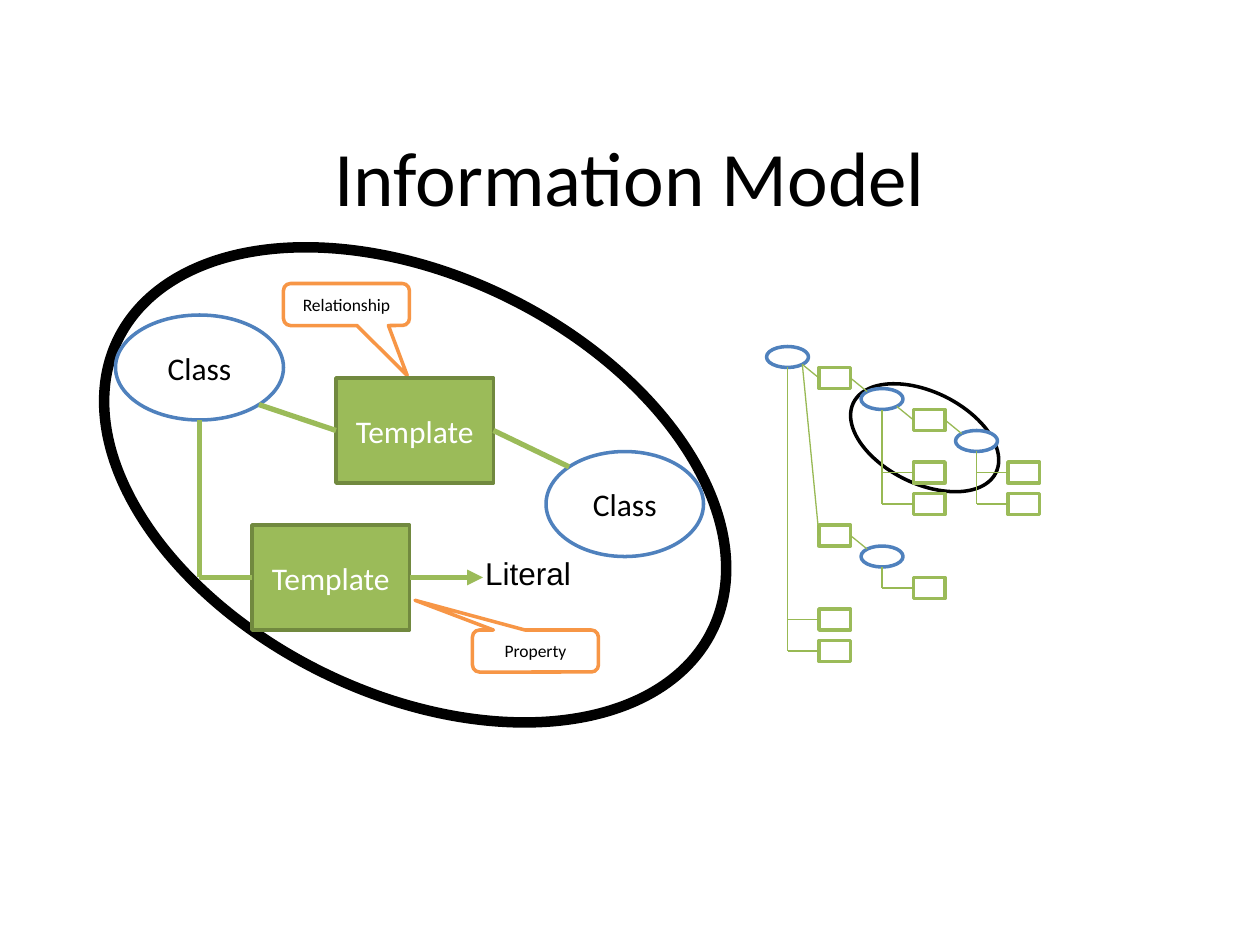
from math import sqrt

from lxml import etree
from pptx import Presentation
from pptx import util as u
from pptx.dml.color import RGBColor
from pptx.enum import shapes, text
from pptx.oxml.ns import qn

BLACK = RGBColor(0x00, 0x00, 0x00)
WHITE = RGBColor(0xFF, 0xFF, 0xFF)
BLUE = RGBColor(0x4F, 0x81, 0xBD)
GREEN = RGBColor(0x9B, 0xBB, 0x59)
DARK_GREEN = RGBColor(0x71, 0x89, 0x3F)
LINK_GREEN = RGBColor(0x98, 0xB9, 0x54)
ORANGE = RGBColor(0xF7, 0x96, 0x46)

KINDS = shapes.MSO_SHAPE
GRID = u.Cm(2.54) / 12  # the diagrams sit on a grid of twelve steps to 2.54 cm
TOP, LEFT, RIGHT = 0, 1, 3


def write(frame, words, size, color, font="Calibri", align=text.PP_ALIGN.CENTER):
    frame.word_wrap = True
    paragraph = frame.paragraphs[0]
    paragraph.alignment = align
    run = paragraph.add_run()
    run.text = words
    for name, value in {"name": font, "size": u.Pt(size)}.items():
        setattr(run.font, name, value)
    run.font.color.rgb = color


def add_label(slide, box, words, size, anchor, **style):
    label = slide.shapes.add_textbox(*map(u.Cm, box))
    label.text_frame.vertical_anchor = anchor
    write(label.text_frame, words, size, BLACK, **style)


def add_outlined(slide, kind, box, fill, line, width=2):
    shape = slide.shapes.add_shape(kind, *box)
    shape.shadow.inherit = False
    shape.fill.solid()
    shape.fill.fore_color.rgb = fill
    shape.line.color.rgb = line
    shape.line.width = u.Pt(width)
    return shape


def add_focus(slide, box, width):
    """Tilted ellipse that marks the enlarged part of the tree."""
    focus = add_outlined(slide, KINDS.OVAL, map(u.Cm, box), WHITE, BLACK, width)
    focus.rotation = 26.1


def add_node(slide, kind, steps, fill, line, words=None, size=18, color=BLACK):
    """Shape placed in grid steps: left, top, width, height."""
    node = add_outlined(slide, kind, [round(step * GRID) for step in steps], fill, line)
    if words:
        node.text_frame.vertical_anchor = text.MSO_ANCHOR.MIDDLE
        write(node.text_frame, words, size, color)
    return node


def add_callout(slide, steps, words, tip):
    callout = add_node(slide, KINDS.ROUNDED_RECTANGULAR_CALLOUT, steps,
                       WHITE, ORANGE, words, size=10)
    callout.adjustments[0], callout.adjustments[1] = tip


def diagonal(oval, side):
    """Point on an ellipse at 45 degrees: side 1 is lower right, -1 upper left."""
    return (round(oval.left + oval.width / 2 * (1 + side / sqrt(2))),
            round(oval.top + oval.height / 2 * (1 + side / sqrt(2))))


def side_middle(box, site):
    x = box.left + (box.width if site == RIGHT else 0)
    return x, box.top + box.height // 2


def add_link(slide, start, end, color, width, begin_box=None, end_box=None):
    link = slide.shapes.add_connector(shapes.MSO_CONNECTOR.STRAIGHT, *start, *end)
    if begin_box:
        link.begin_connect(begin_box, RIGHT)
    if end_box:
        link.end_connect(end_box, LEFT)
    link.line.color.rgb = color
    link.line.width = u.Pt(width)
    etree.SubElement(link._element.spPr, qn("a:effectLst"))
    return link


def link_to_template(slide, oval, template, **style):
    add_link(slide, diagonal(oval, 1), side_middle(template, LEFT),
             end_box=template, **style)


def link_to_class(slide, template, oval, **style):
    add_link(slide, side_middle(template, RIGHT), diagonal(oval, -1),
             begin_box=template, **style)


def hang_templates(slide, oval, templates, **style):
    """Vertical trunk below a class with a branch to each template."""
    trunk_x = oval.left + oval.width // 2
    for template in templates:
        middle = side_middle(template, LEFT)
        add_link(slide, (trunk_x, middle[1]), middle, end_box=template, **style)
    add_link(slide, (trunk_x, oval.top + oval.height), (trunk_x, middle[1]), **style)


def add_tree(slide):
    def tree_class(left, top):
        return add_node(slide, KINDS.OVAL, (left, top, 4, 2), WHITE, BLUE)

    def tree_template(left, top):
        return add_node(slide, KINDS.RECTANGLE, (left, top, 3, 2), WHITE, GREEN)

    style = {"color": LINK_GREEN, "width": 0.75}
    root, child, grandchild, second = [
        tree_class(*place) for place in ((73, 33), (82, 37), (91, 41), (82, 52))]
    relations = ((root, (78, 35), child), (root, (78, 50), second),
                 (child, (87, 39), grandchild))
    for parent, place, target in relations:
        template = tree_template(*place)
        link_to_template(slide, parent, template, **style)
        link_to_class(slide, template, target, **style)
    properties = ((root, 78, (58, 61)), (second, 87, (55,)),
                  (child, 87, (44, 47)), (grandchild, 96, (44, 47)))
    for owner, left, tops in properties:
        hang_templates(slide, owner, [tree_template(left, top) for top in tops], **style)


def add_detail(slide):
    style = {"color": GREEN, "width": 3}
    source, target = [
        add_node(slide, KINDS.OVAL, steps, WHITE, BLUE, "Class")
        for steps in ((11, 30, 16, 10), (52, 43, 15, 10))]
    add_callout(slide, (45, 60, 12, 4), "Property", (-0.956, -1.208))
    add_callout(slide, (27, 27, 12, 4), "Relationship", (0.483, 1.693))
    relation, prop = [
        add_node(slide, KINDS.RECTANGLE, (*place, 15, 10), GREEN, DARK_GREEN,
                 "Template", color=WHITE)
        for place in ((32, 36), (24, 50))]
    link_to_template(slide, source, relation, **style)
    link_to_class(slide, relation, target, **style)
    hang_templates(slide, source, [prop], **style)

    add_label(slide, (9.53, 11.05, 2.74, 1.02), "Literal", 18, text.MSO_ANCHOR.TOP,
              font="Arial", align=text.PP_ALIGN.LEFT)
    start = side_middle(prop, RIGHT)
    arrow = add_link(slide, start, (round(46 * GRID), start[1]), begin_box=prop, **style)
    etree.SubElement(arrow.line._get_or_add_ln(), qn("a:tailEnd"), type="triangle")


def main():
    prs = Presentation()
    prs.slide_width, prs.slide_height = u.Cm(25.4), u.Cm(19.05)
    slide = prs.slides.add_slide(prs.slide_layouts[6])
    add_focus(slide, (1.7, 5.56, 13.34, 8.43), 6)
    add_focus(slide, (17.04, 7.9, 3.2, 1.85), 2)
    add_label(slide, (1.27, 1.96, 22.86, 3.18), "Information Model", 44,
              text.MSO_ANCHOR.MIDDLE)
    add_tree(slide)
    add_detail(slide)
    prs.save("out.pptx")


if __name__ == "__main__":
    main()
